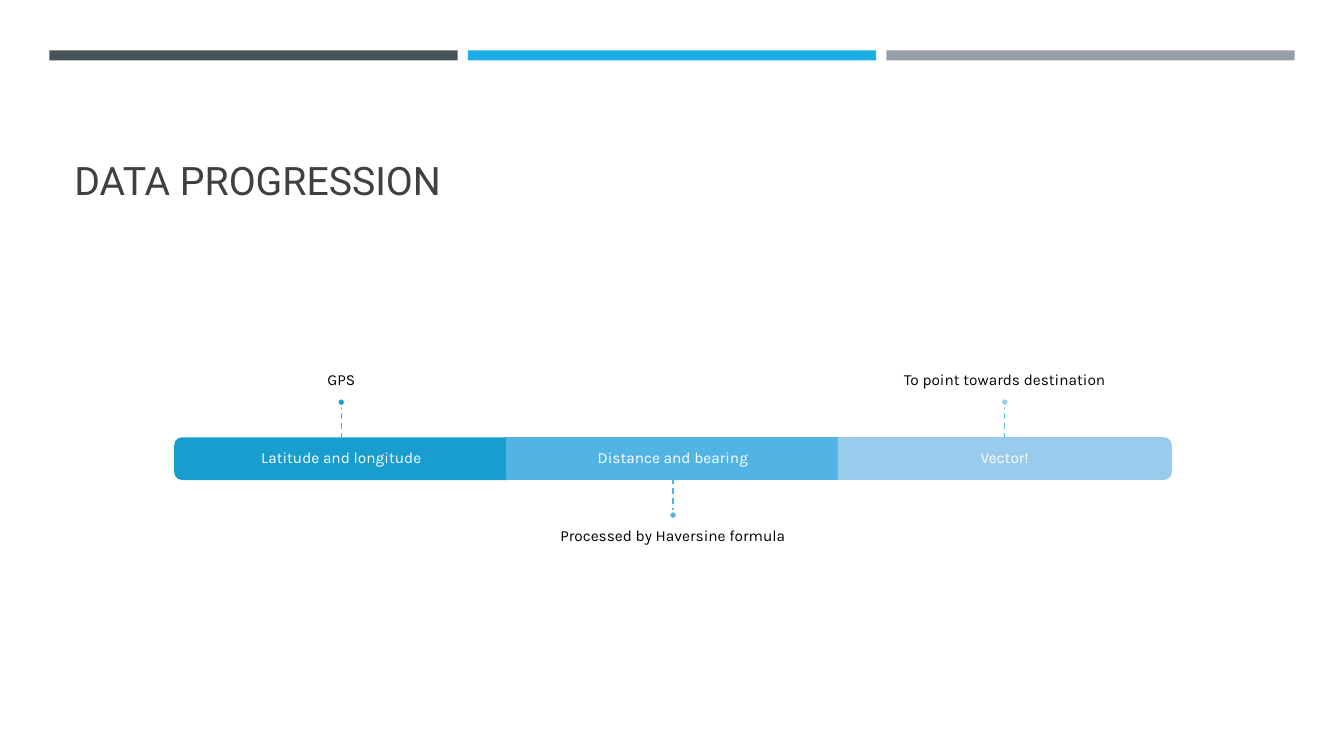
from dataclasses import dataclass

from lxml import etree
from pptx import Presentation
from pptx.dml.color import RGBColor
from pptx.enum.dml import MSO_LINE
from pptx.enum.shapes import MSO_CONNECTOR, MSO_SHAPE
from pptx.enum.text import MSO_ANCHOR, PP_ALIGN
from pptx.oxml.ns import qn
from pptx.shapes.autoshape import Shape
from pptx.slide import Slide
from pptx.util import Inches, Pt

COLORS = {
    "slate": "465359", "blue": "1CADE4", "gray": "969FA7",
    "title": "404040", "black": "000000", "white": "FFFFFF",
    "gps": "199DCF", "gps_line": "36B3E9",
    "distance": "52B3E5", "distance_line": "48B8EC",
    "vector": "99CBEC", "vector_line": "5ABEEF",
}
BAR_LEFT, BAR_TOP, BAR_WIDTH, BAR_HEIGHT = 1.74, 4.35, 3.29, 0.4
STEM = 0.32
DOT = 0.08
NOTE_WIDTH, NOTE_HEIGHT = 5.48, 1.39
PADDING = 0.09


@dataclass(frozen=True)
class Stage:
    label: str
    note: str
    color: str
    rotation: int | None  # None for a square-cornered bar
    note_above: bool


@dataclass(frozen=True)
class TextStyle:
    size: float
    font: str
    color: str
    anchor: MSO_ANCHOR
    align: PP_ALIGN = PP_ALIGN.CENTER
    line_spacing: float = 0.9
    space_after: float = 4


STAGES = [
    Stage("Latitude and longitude", "GPS", "gps", 270, True),
    Stage("Distance and bearing", "Processed by Haversine formula", "distance", None, False),
    Stage("Vector!", "To point towards destination", "vector", 90, True),
]
TITLE = TextStyle(28, "Roboto", "title", MSO_ANCHOR.BOTTOM, PP_ALIGN.LEFT, 1, 0)
LABEL = TextStyle(11, "Karla", "white", MSO_ANCHOR.MIDDLE)
NOTE_ABOVE = TextStyle(11, "Karla", "black", MSO_ANCHOR.BOTTOM)
NOTE_BELOW = TextStyle(11, "Karla", "black", MSO_ANCHOR.TOP)


def rgb(name: str) -> RGBColor:
    return RGBColor.from_string(COLORS[name])


def add_filled(slide: Slide, kind: MSO_SHAPE, left: float, top: float, width: float,
               height: float, fill: str, line: str | None = None) -> Shape:
    shape = slide.shapes.add_shape(
        kind, Inches(left), Inches(top), Inches(width), Inches(height))
    shape.shadow.inherit = False
    shape.fill.solid()
    shape.fill.fore_color.rgb = rgb(fill)
    if line is None:
        shape.line.fill.background()
    else:
        shape.line.color.rgb = rgb(line)
        shape.line.width = Pt(1.75)
    return shape


def add_text(slide: Slide, text: str, left: float, top: float, width: float,
             height: float, style: TextStyle,
             insets: tuple[float, float, float, float]) -> None:
    """Insets run left, top, right, bottom."""
    box = slide.shapes.add_textbox(
        Inches(left), Inches(top), Inches(width), Inches(height))
    frame = box.text_frame
    frame.word_wrap = True
    frame.vertical_anchor = style.anchor
    (frame.margin_left, frame.margin_top,
     frame.margin_right, frame.margin_bottom) = map(Inches, insets)
    paragraph = frame.paragraphs[0]
    paragraph.alignment = style.align
    paragraph.line_spacing = style.line_spacing
    paragraph.space_after = Pt(style.space_after)
    run = paragraph.add_run()
    run.text = text
    run.font.size = Pt(style.size)
    run.font.name = style.font
    run.font.color.rgb = rgb(style.color)


def add_stem(slide: Slide, center: float, bar_edge: float, dot_edge: float,
             color: str, bar: Shape | None) -> None:
    """Draw the dashed line from a bar to its dot, joined to a square bar."""
    stem = slide.shapes.add_connector(
        MSO_CONNECTOR.STRAIGHT, Inches(center), Inches(bar_edge),
        Inches(center), Inches(dot_edge))
    if bar is not None:
        stem.begin_connect(bar, 2)
        stem.end_x = stem.begin_x
    stem.line.color.rgb = rgb(color)
    stem.line.width = Pt(1)
    stem.line.dash_style = MSO_LINE.DASH
    etree.SubElement(stem.element.spPr, qn("a:effectLst"))


def add_stage(slide: Slide, stage: Stage, left: float) -> None:
    center = left + BAR_WIDTH / 2
    middle = BAR_TOP + BAR_HEIGHT / 2
    if stage.rotation is None:
        bar = add_filled(slide, MSO_SHAPE.RECTANGLE, left, BAR_TOP, BAR_WIDTH,
                         BAR_HEIGHT, stage.color, stage.color)
    else:
        bar = add_filled(slide, MSO_SHAPE.ROUND_2_SAME_RECTANGLE,
                         center - BAR_HEIGHT / 2, middle - BAR_WIDTH / 2,
                         BAR_HEIGHT, BAR_WIDTH, stage.color, stage.color)
        bar.rotation = stage.rotation
    add_text(slide, stage.label, left, BAR_TOP, BAR_WIDTH, BAR_HEIGHT,
             LABEL, (PADDING,) * 4)

    if stage.note_above:
        bar_edge, dot_edge = BAR_TOP, BAR_TOP - STEM
        dot_top = dot_edge - DOT
        note_top, style = dot_top - NOTE_HEIGHT, NOTE_ABOVE
        insets = (0, 0, 0, PADDING)
    else:
        bar_edge = BAR_TOP + BAR_HEIGHT
        dot_top = dot_edge = bar_edge + STEM
        note_top, style = dot_edge + DOT, NOTE_BELOW
        insets = (0, PADDING, 0, 0)
    add_text(slide, stage.note, center - NOTE_WIDTH / 2, note_top,
             NOTE_WIDTH, NOTE_HEIGHT, style, insets)
    add_stem(slide, center, bar_edge, dot_edge, f"{stage.color}_line",
             bar if stage.rotation is None else None)
    add_filled(slide, MSO_SHAPE.OVAL, center - DOT / 2, dot_top, DOT, DOT,
               stage.color, "white")


def main() -> None:
    presentation = Presentation()
    presentation.slide_width = Inches(13.33)
    presentation.slide_height = Inches(7.5)
    slide = presentation.slides.add_slide(presentation.slide_layouts[6])

    for index, color in enumerate(("slate", "blue", "gray")):
        add_filled(slide, MSO_SHAPE.RECTANGLE, 0.49 + index * 4.15, 0.5, 4.05, 0.1, color)
    add_text(slide, "DATA PROGRESSION", 0.64, 0.77, 12.06, 1.3, TITLE,
             (0.1, 0.05, 0.1, 0.05))
    for index, stage in enumerate(STAGES):
        add_stage(slide, stage, BAR_LEFT + index * BAR_WIDTH)

    presentation.save("out.pptx")


if __name__ == "__main__":
    main()
